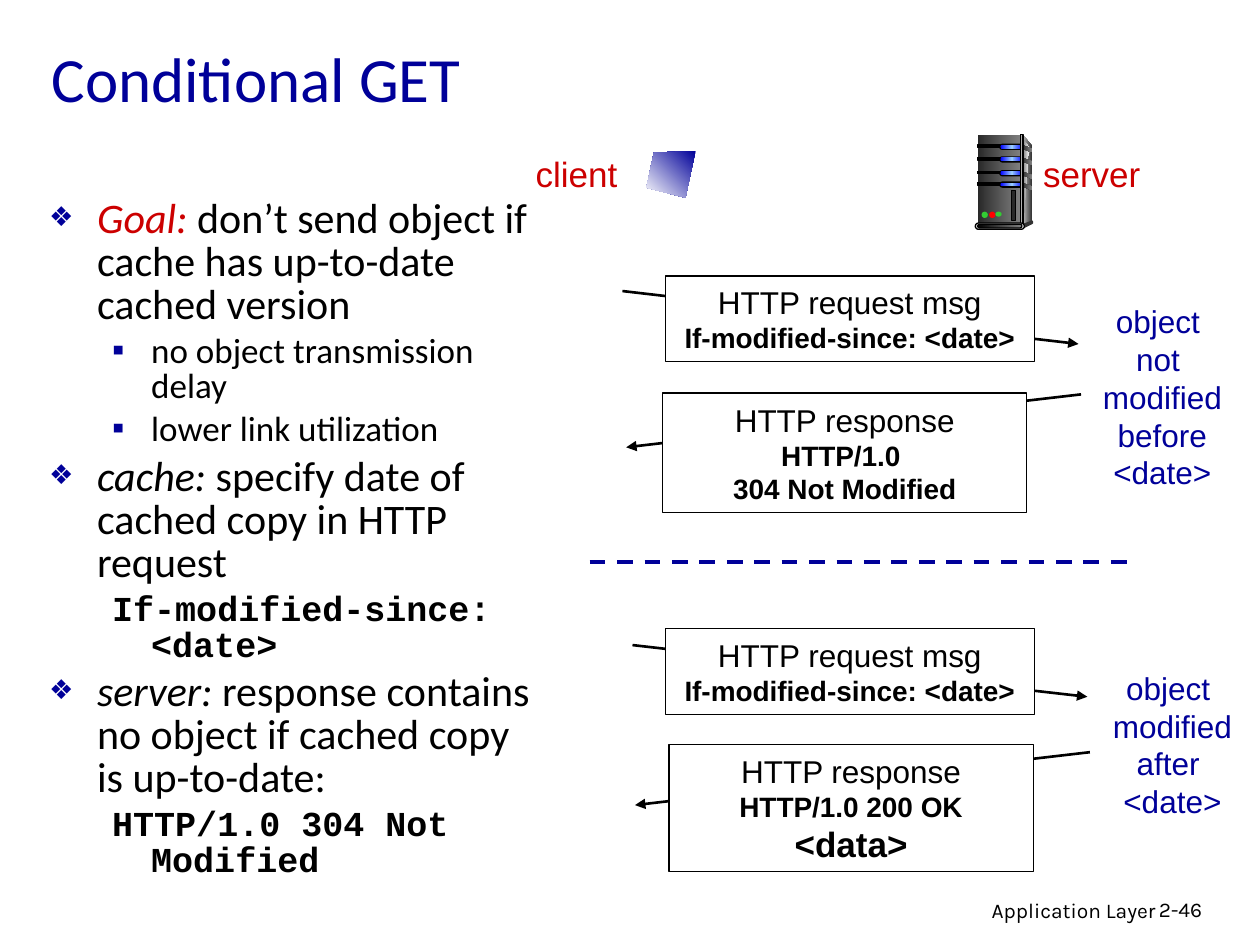
"""Build the Conditional GET slide with its two client-server exchanges."""
from dataclasses import dataclass

from lxml import etree
from pptx import Presentation
from pptx.dml.color import RGBColor
from pptx.enum.dml import MSO_LINE
from pptx.enum.shapes import MSO_CONNECTOR, MSO_SHAPE
from pptx.enum.text import MSO_ANCHOR, MSO_AUTO_SIZE, PP_ALIGN
from pptx.oxml.ns import qn
from pptx.util import Inches, Pt

RECT, CAPSULE, OVAL = MSO_SHAPE.RECTANGLE, MSO_SHAPE.ROUNDED_RECTANGLE, MSO_SHAPE.OVAL
STRAIGHT, DASH = MSO_CONNECTOR.STRAIGHT, MSO_LINE.DASH
LEFT, CENTER, RIGHT = PP_ALIGN.LEFT, PP_ALIGN.CENTER, PP_ALIGN.RIGHT
MIDDLE, TOP = MSO_ANCHOR.MIDDLE, MSO_ANCHOR.TOP
NO_FIT = MSO_AUTO_SIZE.NONE

BLACK = RGBColor(0x00, 0x00, 0x00)
WHITE = RGBColor(0xFF, 0xFF, 0xFF)
NAVY = RGBColor(0x00, 0x00, 0x99)
CRIMSON = RGBColor(0xCC, 0x00, 0x00)
CHARCOAL = RGBColor(0x29, 0x29, 0x29)
DARK = RGBColor(0x33, 0x33, 0x33)
GRAY = RGBColor(0x80, 0x80, 0x80)
SILVER = RGBColor(0xDD, 0xDD, 0xDD)
PALE = RGBColor(0xF8, 0xF8, 0xF8)
BLUE = RGBColor(0x00, 0x00, 0xFF)
SKY = RGBColor(0x99, 0xCC, 0xFF)
GREEN = RGBColor(0x33, 0xCC, 0x33)
RED = RGBColor(0xFF, 0x00, 0x00)


@dataclass
class Line:
    text: str
    size: int = 18
    bold: bool = False


@dataclass
class Message:
    box: tuple
    start: tuple
    end: tuple
    lines: list


@dataclass
class Label:
    box: tuple
    lines: list
    color: RGBColor
    font: str = "Arial"
    align: PP_ALIGN = CENTER
    wrap: bool = False


@dataclass
class Point:
    text: str
    lead: str = ""
    lead_color: RGBColor = BLACK
    level: int = 0
    bullet: str = ""
    size: int = 24
    font: str = "Calibri"
    bold: bool = False


@dataclass
class Part:
    kind: MSO_SHAPE
    box: tuple
    colors: tuple
    outlined: bool = False


REQUEST = [Line("HTTP request msg"), Line("If-modified-since: <date>", 16, True)]
MESSAGES = [
    Message((5.28, 2.19, 2.93, 0.68), (4.94, 2.31), (8.56, 2.73), REQUEST),
    Message((5.26, 3.12, 2.89, 0.95), (8.58, 3.13), (4.97, 3.55),
            [Line("HTTP response"), Line("HTTP/1.0 ", 16, True), Line("304 Not Modified", 16, True)]),
    Message((5.28, 4.99, 2.93, 0.68), (5.02, 5.12), (8.63, 5.53), REQUEST),
    Message((5.31, 5.91, 2.89, 1.01), (8.65, 5.97), (5.04, 6.39),
            [Line("HTTP response"), Line("HTTP/1.0 200 OK", 16, True), Line("<data>", 20, True)]),
]
LABELS = [
    Label((8.65, 2.35, 1.15, 1.6),
          [Line(word) for word in ("object ", "not ", "modified", "before", "<date>")], NAVY),
    Label((8.73, 5.26, 1.15, 1.3),
          [Line(word) for word in ("object ", "modified", "after ", "<date>")], NAVY),
    Label((4.15, 1.16, 0.85, 0.43), [Line("client", 20)], CRIMSON),
    Label((8.18, 1.16, 0.97, 0.43), [Line("server", 20)], CRIMSON),
    Label((6.1, 7.07, 3.17, 0.31), [Line("Application Layer", 12)], BLACK, "Karla", RIGHT, True),
    Label((9.1, 7.07, 0.74, 0.3), [Line("2-46", 12)], BLACK, "Karla", LEFT, True),
]
CODE = {"level": 1, "size": 20, "font": "Courier New", "bold": True}
POINTS = [
    Point(" don’t send object if cache has up-to-date cached version", "Goal:", CRIMSON, bullet="❖"),
    Point("no object transmission delay", level=1, bullet="▪", size=20),
    Point("lower link utilization", level=1, bullet="▪", size=20),
    Point(" specify date of cached copy in HTTP request", "cache:", bullet="❖"),
    Point("If-modified-since: <date>", **CODE),
    Point(" response contains no object if cached copy is up-to-date:", "server:", bullet="❖"),
    Point("HTTP/1.0 304 Not Modified", **CODE),
]
DRIVE_TOPS = (1.15, 1.25, 1.36, 1.45)
FRONT_PARTS = [
    Part(RECT, (8.1, 1.07, 0.02, 0.72), (DARK, SILVER, DARK), True),
    Part(OVAL, (8.18, 1.75, 0.02, 0.03), (DARK,)),
    Part(CAPSULE, (7.74, 1.77, 0.39, 0.05), (SILVER,), True),
    Part(CAPSULE, (7.76, 1.78, 0.35, 0.03), (BLACK, GRAY), True),
    Part(OVAL, (7.79, 1.68, 0.05, 0.05), (GREEN,)),
    Part(OVAL, (7.85, 1.68, 0.05, 0.05), (RED,)),
    Part(OVAL, (7.9, 1.68, 0.05, 0.04), (GREEN,)),
    Part(RECT, (8.03, 1.51, 0.03, 0.24), (CHARCOAL,), True),
]


def inches(values: tuple) -> list:
    return [Inches(value) for value in values]


def paint(shape, colors: tuple, outlined: bool = False, angle: int = 0) -> None:
    shape.shadow.inherit = False
    if len(colors) == 1:
        shape.fill.solid()
        shape.fill.fore_color.rgb = colors[0]
    else:
        shape.fill.gradient()
        shape.fill.gradient_angle = angle
        stops = shape.element.spPr.find(".//" + qn("a:gsLst"))
        stops.clear()
        for index, color in enumerate(colors):
            stop = etree.SubElement(stops, qn("a:gs"), pos=str(100000 * index // (len(colors) - 1)))
            etree.SubElement(stop, qn("a:srgbClr"), val=str(color))
    if outlined:
        shape.line.color.rgb = BLACK
        shape.line.width = Pt(0.75)
    else:
        shape.line.fill.background()


def draw_part(shapes, part: Part) -> None:
    shape = shapes.add_shape(part.kind, *inches(part.box))
    if part.kind == CAPSULE:
        shape.adjustments[0] = 0.5
    paint(shape, part.colors, part.outlined)


def draw_outline(shapes, points: list, colors: tuple, angle: int = 0) -> None:
    corners = [inches(point) for point in points]
    builder = shapes.build_freeform(*corners[0])
    builder.add_line_segments(corners[1:], close=True)
    paint(builder.convert_to_shape(), colors, angle=angle)


def draw_line(shapes, start: tuple, end: tuple, color: RGBColor, width: float, arrow: bool = True) -> None:
    connector = shapes.add_connector(STRAIGHT, *inches(start + end))
    connector.line.color.rgb = color
    connector.line.width = Pt(width)
    properties = connector.element.spPr
    if arrow:
        etree.SubElement(properties.find(qn("a:ln")), qn("a:tailEnd"), type="triangle")
    else:
        connector.line.dash_style = DASH
    etree.SubElement(properties, qn("a:effectLst"))


def write(frame, lines: list, color: RGBColor, font: str = "Arial", align: PP_ALIGN = CENTER) -> None:
    frame.text = "\n".join(line.text for line in lines)
    for paragraph, line in zip(frame.paragraphs, lines):
        paragraph.alignment = align
        style = paragraph.runs[0].font
        style.name, style.size, style.bold = font, Pt(line.size), line.bold
        style.color.rgb = color


def draw_message(shapes, message: Message) -> None:
    draw_line(shapes, message.start, message.end, BLACK, 1.5)
    box = shapes.add_shape(RECT, *inches(message.box))
    paint(box, (WHITE,), True)
    box.text_frame.word_wrap = False
    box.text_frame.vertical_anchor = MIDDLE
    write(box.text_frame, message.lines, BLACK)


def draw_label(shapes, label: Label) -> None:
    frame = shapes.add_textbox(*inches(label.box)).text_frame
    frame.word_wrap = label.wrap
    write(frame, label.lines, label.color, label.font, label.align)


def add_point(paragraph, point: Point, first: bool) -> None:
    paragraph.level = point.level
    properties = paragraph._p.get_or_add_pPr()
    margin, hanging = ((0.38, -0.38), (0.81, -0.31))[point.level]
    properties.set("marL", str(Inches(margin)))
    properties.set("indent", str(Inches(hanging)))
    if point.bullet:
        etree.SubElement(etree.SubElement(properties, qn("a:buClr")), qn("a:srgbClr"), val=str(NAVY))
        if point.level == 0:
            etree.SubElement(properties, qn("a:buSzPct"), val="65000")
        etree.SubElement(properties, qn("a:buChar"), char=point.bullet)
    else:
        etree.SubElement(properties, qn("a:buNone"))
    paragraph.line_spacing = 0.85
    paragraph.space_before = Pt(0 if first else point.size * 0.2)
    for text, color, italic in ((point.lead, point.lead_color, True), (point.text, BLACK, False)):
        if text:
            run = paragraph.add_run()
            run.text = text
            run.font.name, run.font.size = point.font, Pt(point.size)
            run.font.bold, run.font.italic = point.bold, italic
            run.font.color.rgb = color


def place(placeholder, box: tuple, anchor: MSO_ANCHOR):
    placeholder.left, placeholder.top, placeholder.width, placeholder.height = inches(box)
    placeholder.text_frame.auto_size = NO_FIT
    placeholder.text_frame.vertical_anchor = anchor
    return placeholder.text_frame


def draw_server(shapes) -> None:
    draw_outline(shapes, [(8.12, 1.07), (8.19, 1.16), (8.19, 1.76), (8.1, 1.79)], (SILVER, DARK))
    draw_part(shapes, Part(RECT, (7.76, 1.07, 0.34, 0.72), (CHARCOAL, GRAY)))
    draw_outline(shapes, [(8.12, 1.11), (8.17, 1.17), (8.12, 1.77)], (GRAY, PALE))
    for top in DRIVE_TOPS:
        draw_part(shapes, Part(RECT, (7.76, top, 0.19, 0.02), (BLACK,), True))
        draw_part(shapes, Part(CAPSULE, (7.93, top - 0.01, 0.19, 0.05), (BLACK,)))
        draw_part(shapes, Part(CAPSULE, (7.94, top, 0.18, 0.03), (BLUE, SKY, BLUE)))
        slit = [(8.11, top), (8.19, top + 0.03), (8.19, top + 0.06), (8.11, top + 0.03)]
        draw_outline(shapes, slit, (CHARCOAL, GRAY))
    draw_outline(shapes, [(8.11, 1.78), (8.11, 1.82), (8.19, 1.78), (8.19, 1.75)], (DARK,))
    for part in FRONT_PARTS:
        draw_part(shapes, part)


def main() -> None:
    deck = Presentation()
    deck.slide_width, deck.slide_height = Inches(10), Inches(7.5)
    slide = deck.slides.add_slide(deck.slide_layouts[1])
    shapes = slide.shapes
    heading = place(shapes.title, (0.31, 0.21, 8.71, 0.81), MIDDLE)
    write(heading, [Line("Conditional GET", 36)], NAVY, "Calibri", LEFT)
    outline = place(slide.placeholders[1], (0.29, 1.53, 4.09, 5.61), TOP)
    for index, point in enumerate(POINTS):
        add_point(outline.add_paragraph() if index else outline.paragraphs[0], point, index == 0)
    for message in MESSAGES:
        draw_message(shapes, message)
    draw_line(shapes, (4.68, 4.46), (8.95, 4.46), NAVY, 2.25, arrow=False)
    for label in LABELS:
        draw_label(shapes, label)
    draw_server(shapes.add_group_shape().shapes)
    draw_outline(shapes, [(5.52, 1.2), (5.19, 1.21), (5.13, 1.49), (5.44, 1.57)], (NAVY, WHITE), 225)
    deck.save("out.pptx")


if __name__ == "__main__":
    main()
